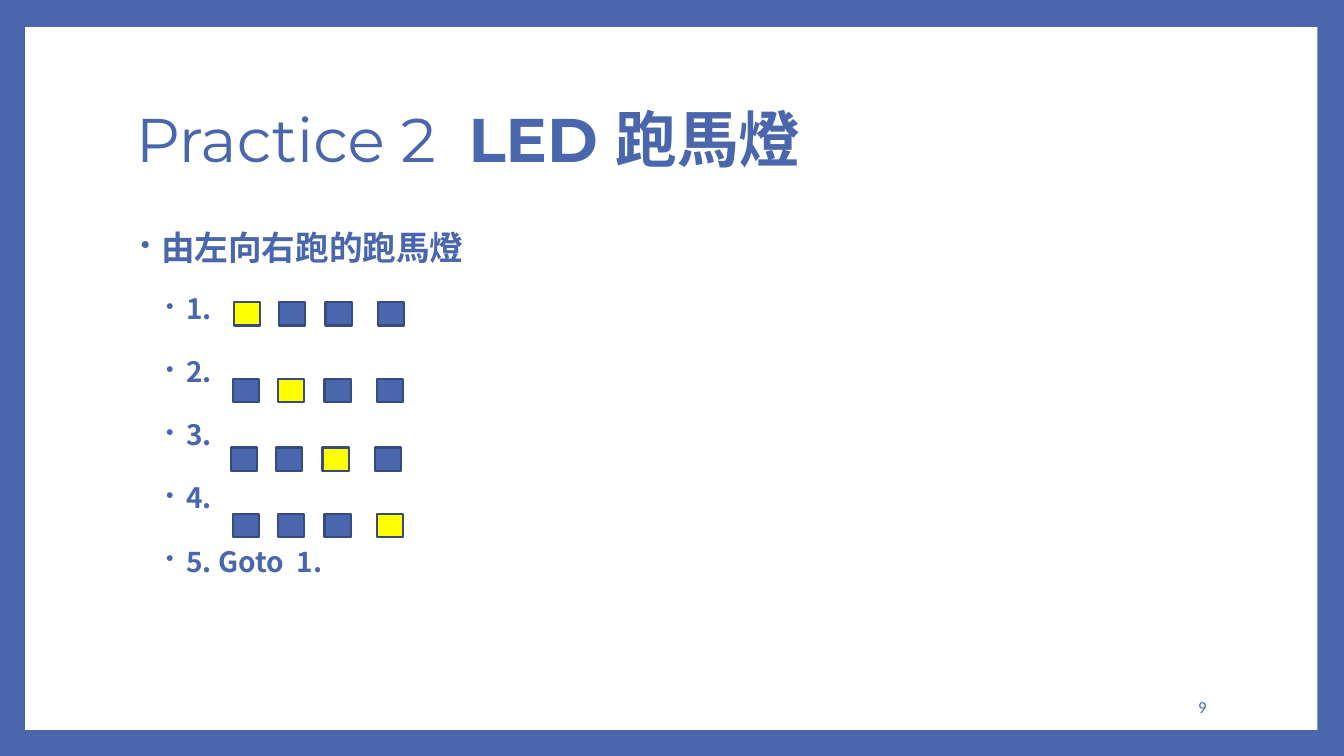
"""Build the LED chaser practice slide."""
from dataclasses import dataclass

from lxml import etree
from pptx import Presentation
from pptx.dml.color import RGBColor
from pptx.enum import shapes, text
from pptx.oxml import ns
from pptx.util import Pt

BLUE, YELLOW, WHITE, EDGE = "4A66AC", "FFFF00", "FFFFFF", "374B7F"
CJK = "Noto Sans CJK SC"
LED_SIZE = (18.72, 16.56)
LED_OFFSETS = (0, 32.4, 65.5, 103)


@dataclass
class LedRow:
    left: float
    top: float
    lit: int


@dataclass
class Bullet:
    label: str
    size: float = 20
    level: int = 1
    margin: float = 36
    before: float = 19.5
    after: float = 4


LED_ROWS = (
    LedRow(167, 216, 0),
    LedRow(166.3, 270.7, 1),
    LedRow(164.9, 319.7, 2),
    LedRow(166.3, 367.2, 3),
)
BULLETS = (
    Bullet("由左向右跑的跑馬燈", size=24, level=0, margin=18, before=14, after=0),
    *(Bullet(label) for label in ("1.", "2.", "3.", "4.", "5. Goto  1.")),
)


def paint(fill, color: str) -> None:
    fill.solid()
    fill.fore_color.rgb = RGBColor.from_string(color)


def add_rect(s, left: float, top: float, width: float, height: float,
             color: str, edge: str = ""):
    sp = s.shapes.add_shape(shapes.MSO_SHAPE.RECTANGLE,
                            Pt(left), Pt(top), Pt(width), Pt(height))
    sp.shadow.inherit = False
    paint(sp.fill, color)
    if edge:
        paint(sp.line.fill, edge)
        sp.line.width = Pt(1.5)
    else:
        sp.line.fill.background()
    return sp


def add_text(s, left: float, top: float, width: float, height: float,
             anchor=text.MSO_ANCHOR.MIDDLE):
    tf = s.shapes.add_textbox(Pt(left), Pt(top), Pt(width), Pt(height)).text_frame
    tf.word_wrap = True
    tf.vertical_anchor = anchor
    return tf


def style(p, size: float, name: str) -> None:
    p.font.size = Pt(size)
    p.font.name = name
    paint(p.font.fill, BLUE)
    props = p._p.pPr.find(ns.qn("a:defRPr"))
    etree.SubElement(props, ns.qn("a:ea"), typeface=CJK)


def add_bullet(p, bullet: Bullet) -> None:
    p.level = bullet.level
    p.line_spacing = 0.9
    p.space_before, p.space_after = Pt(bullet.before), Pt(bullet.after)
    p.add_run().text = bullet.label
    style(p, bullet.size, CJK)
    p.font.bold = True
    props = p._p.pPr
    props.set("marL", str(Pt(bullet.margin)))
    props.set("indent", str(Pt(-14.4)))
    color = etree.Element(ns.qn("a:buClr"))
    etree.SubElement(color, ns.qn("a:srgbClr"), val=BLUE)
    size = etree.Element(ns.qn("a:buSzPct"), val="80000")
    mark = etree.Element(ns.qn("a:buChar"), char="•")
    for part in (color, size, mark):
        props.find(ns.qn("a:defRPr")).addprevious(part)


def main() -> None:
    prs = Presentation()
    prs.slide_width, prs.slide_height = Pt(960), Pt(540)
    s = prs.slides.add_slide(prs.slide_layouts[6])
    paint(s.background.fill, BLUE)
    add_rect(s, 18, 19.4, 923, 502, WHITE)

    tf = add_text(s, 90, 162, 777.6, 318.2, text.MSO_ANCHOR.TOP)
    for i, bullet in enumerate(BULLETS):
        add_bullet(tf.add_paragraph() if i else tf.paragraphs[0], bullet)

    p = add_text(s, 90, 48.2, 777.6, 106.6).paragraphs[0]
    p.line_spacing = 0.9
    style(p, 44, "Montserrat")
    for words, bold in (("Practice 2  ", False), ("LED 跑馬燈", True)):
        r = p.add_run()
        r.text = words
        r.font.bold = bold

    p = add_text(s, 734.4, 490.3, 134.6, 28.8).paragraphs[0]
    p.alignment = text.PP_ALIGN.RIGHT
    p.add_run().text = "9"
    style(p, 12, "Calibri")

    for row in LED_ROWS:
        for i, offset in enumerate(LED_OFFSETS):
            add_rect(s, row.left + offset, row.top, *LED_SIZE,
                     YELLOW if i == row.lit else BLUE, EDGE)

    prs.save("out.pptx")


if __name__ == "__main__":
    main()
